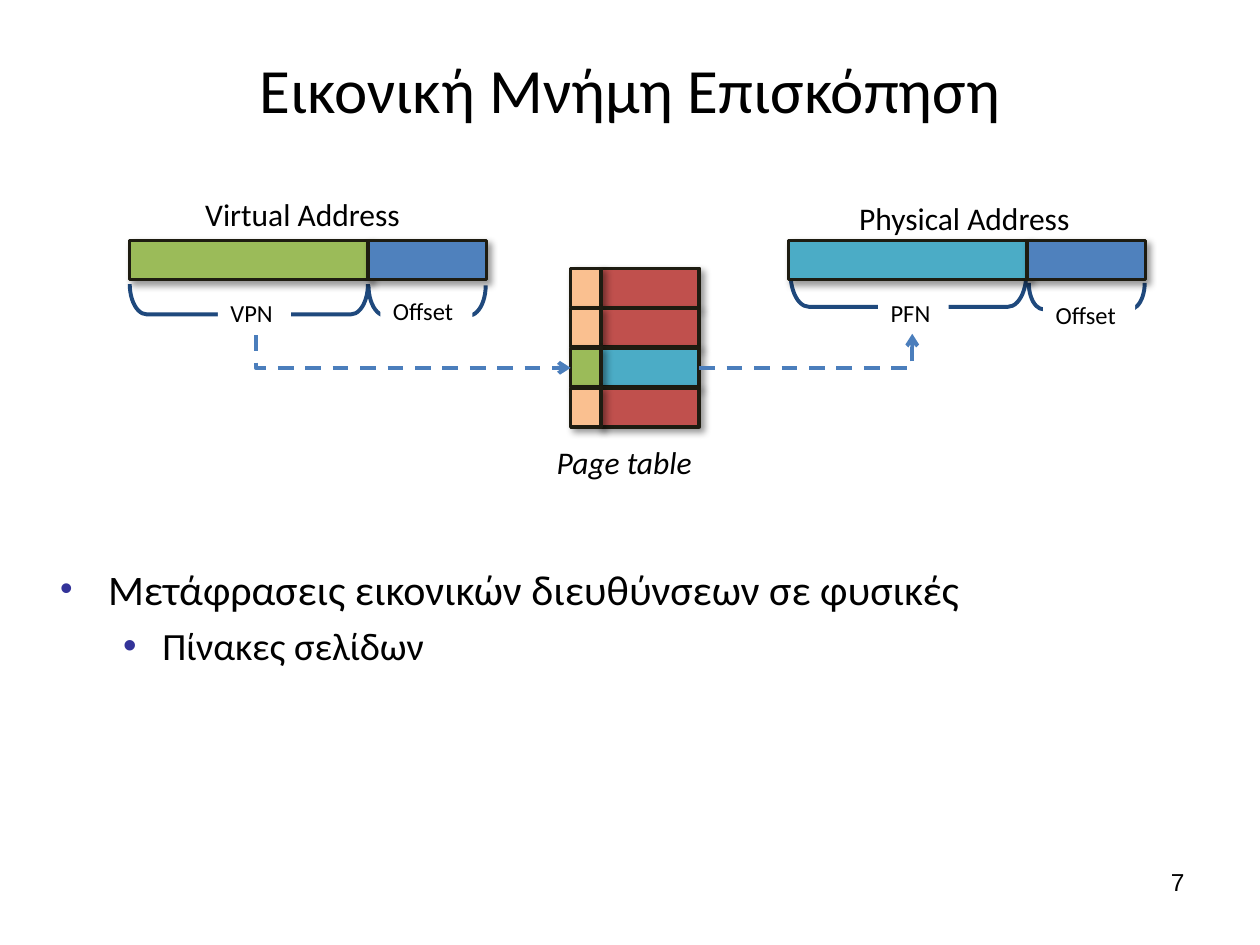
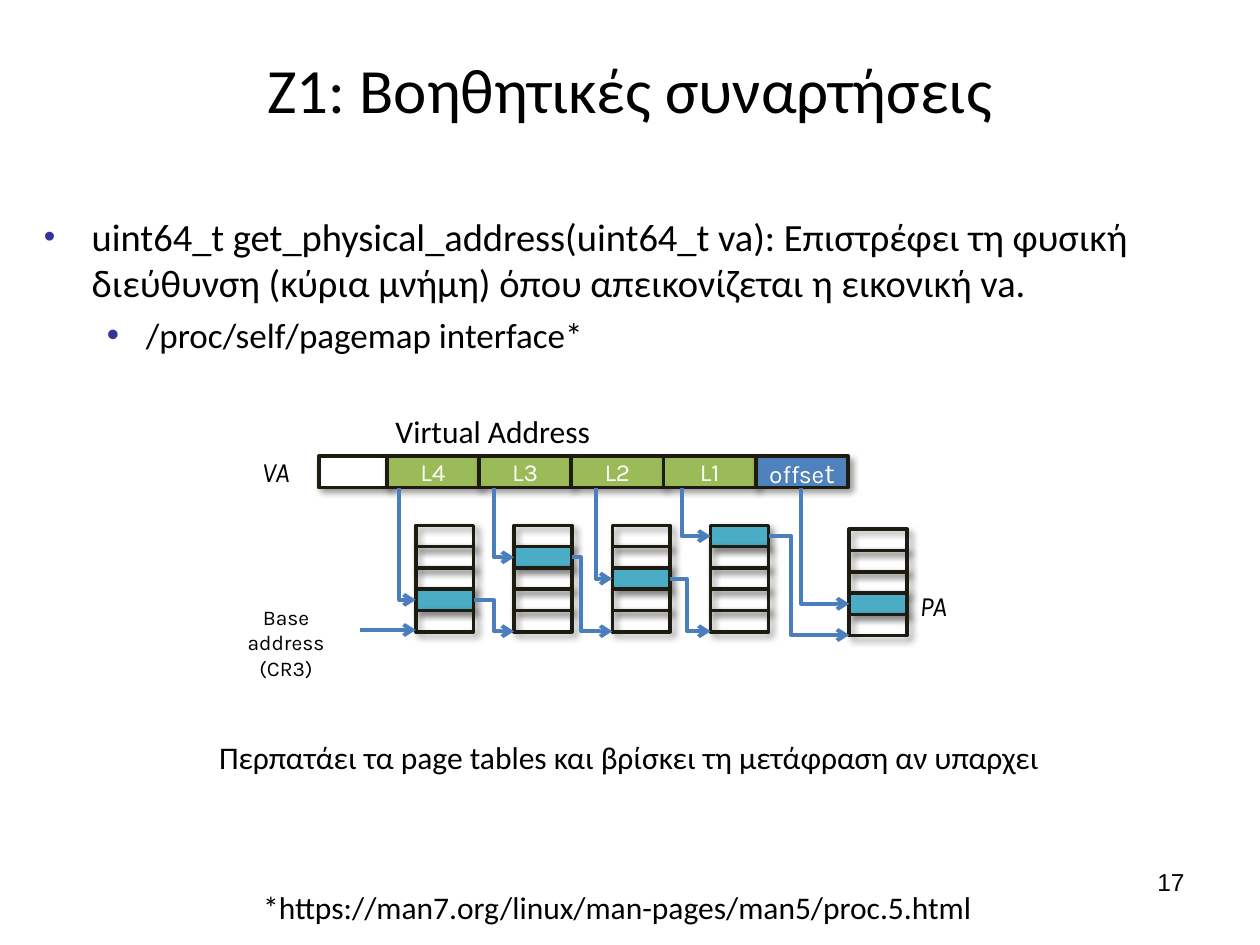
from lxml import etree
from pptx import Presentation
from pptx.dml.color import RGBColor
from pptx.enum.shapes import MSO_CONNECTOR, MSO_SHAPE
from pptx.enum.text import MSO_ANCHOR, PP_ALIGN
from pptx.oxml.ns import qn
from pptx.util import Inches, Pt

STRAIGHT, ELBOW = MSO_CONNECTOR.STRAIGHT, MSO_CONNECTOR.ELBOW
RECTANGLE, BRACKET = MSO_SHAPE.RECTANGLE, MSO_SHAPE.LEFT_BRACKET
LEFT, CENTER, RIGHT = PP_ALIGN.LEFT, PP_ALIGN.CENTER, PP_ALIGN.RIGHT
TOP, MIDDLE = MSO_ANCHOR.TOP, MSO_ANCHOR.MIDDLE

COLORS = {
    "text": "000000", "white": "FFFFFF", "bullet": "333399",
    "edge": "1E1C11", "arrow": "4B7EBC", "bracket": "1F497D",
    "virtual": "9BBB59", "physical": "4BACC6", "offset": "4F81BD",
    "entry": "C0504D", "index": "FAC090",
}


def color(name):
    return RGBColor.from_string(COLORS[name])


def add_xml(parent, tag, **attributes):
    values = {key: str(value) for key, value in attributes.items()}
    return etree.SubElement(parent, qn(tag), values)


class Drawing:
    """Places elements on a grid of 100 columns by 75 rows."""

    body_font, diagram_font, number_font = "Calibri", "Karla", "Arial"

    def __init__(self):
        self.deck = Presentation()
        self.deck.slide_width, self.deck.slide_height = Inches(10), Inches(7.5)
        self.page = None

    def grid(self, *lengths):
        return [round(length * self.deck.slide_width / 100) for length in lengths]

    def start_page(self, title, number):
        self.page = self.deck.slides.add_slide(self.deck.slide_layouts[5])
        box = self.page.shapes.title
        box.left, box.top, box.width, box.height = self.grid(5, 3, 90, 8)
        self.fill_text(box.text_frame, title, 36, align=CENTER, anchor=MIDDLE)
        self.text(number, (71.7, 68.3, 23.3, 5.2), 14, font=self.number_font, align=RIGHT)

    def style(self, para, size, font=None, ink="text", italic=False):
        for span in para.runs:
            span.font.size = Pt(size)
            span.font.name = font or self.body_font
            span.font.italic = italic
            span.font.color.rgb = color(ink)

    def fill_text(self, frame, words, size, align=LEFT, anchor=TOP, wrap=True, **look):
        frame.text = words
        frame.word_wrap = wrap
        frame.vertical_anchor = anchor
        for para in frame.paragraphs:
            para.alignment = align
            self.style(para, size, **look)

    def text(self, words, place, size=18, **look):
        box = self.page.shapes.add_textbox(*self.grid(*place))
        self.fill_text(box.text_frame, words, size, **look)

    def bullets(self, place, items):
        """Items are (words, size); each one sits a level below the last."""
        frame = self.page.shapes.add_textbox(*self.grid(*place)).text_frame
        frame.word_wrap = True
        for level, (words, size) in enumerate(items):
            para = frame.add_paragraph() if level else frame.paragraphs[0]
            para.text, para.level = words, level
            para.space_before = Pt(round(size * 0.24))
            self.style(para, size)
            margin, hanging, scale = ((0.38, 0.38, 85), (0.81, 0.31, 100))[level]
            properties = para._p.get_or_add_pPr()
            properties.set("marL", str(Inches(margin)))
            properties.set("indent", str(-Inches(hanging)))
            add_xml(add_xml(properties, "a:buClr"), "a:srgbClr", val=COLORS["bullet"])
            add_xml(properties, "a:buSzPct", val=scale * 1000)
            add_xml(properties, "a:buFont", typeface="Arial")
            add_xml(properties, "a:buChar", char="•")

    def cell(self, place, fill=None):
        """A block of memory: dark edge and soft shadow."""
        shape = self.page.shapes.add_shape(RECTANGLE, *self.grid(*place))
        if fill:
            shape.fill.solid()
            shape.fill.fore_color.rgb = color(fill)
        else:
            shape.fill.background()
        shape.line.color.rgb = color("edge")
        shape.line.width = Pt(2)
        shape.shadow.inherit = False
        effects = shape._element.spPr.find(qn("a:effectLst"))
        shadow = add_xml(effects, "a:outerShdw", blurRad=Pt(4), dist=Pt(3),
                         dir=45 * 60000, algn="tl", rotWithShape=0)
        add_xml(add_xml(shadow, "a:srgbClr", val="000000"), "a:alpha", val=40000)
        return shape

    def field(self, words, place, fill):
        shape = self.cell(place, fill)
        self.fill_text(shape.text_frame, words, 14, align=CENTER, anchor=MIDDLE,
                       wrap=False, font=self.diagram_font, ink="white")
        return shape

    def bracket(self, left, top, width, height):
        """A bracket opening upwards inside the given frame."""
        x, y = left + (width - height) / 2, top + (height - width) / 2
        shape = self.page.shapes.add_shape(BRACKET, *self.grid(x, y, height, width))
        shape.rotation = 270
        shape.adjustments[0] = 0.56
        shape.fill.background()
        shape.line.color.rgb = color("bracket")
        shape.line.width = Pt(2.25)
        shape.shadow.inherit = False

    def bracket_label(self, words, place):
        shape = self.page.shapes.add_shape(RECTANGLE, *self.grid(*place))
        shape.fill.solid()
        shape.fill.fore_color.rgb = color("white")
        shape.line.fill.background()
        shape.shadow.inherit = False
        self.fill_text(shape.text_frame, words, 14, wrap=False)

    def arrow(self, start, end, kind=STRAIGHT, dashed=False):
        line = self.page.shapes.add_connector(kind, *self.grid(*start, *end))
        line.line.color.rgb = color("arrow")
        line.line.width = Pt(2.25)
        stroke = line._element.spPr.find(qn("a:ln"))
        if dashed:
            add_xml(stroke, "a:prstDash", val="dash")
        add_xml(stroke, "a:tailEnd", type="arrow")
        add_xml(line._element.spPr, "a:effectLst")
        return line

    def corner(self, start, end, dashed=False, down_first=False):
        """An arrow with one bend."""
        line = self.arrow(start, end, ELBOW, dashed)
        properties = line._element.spPr
        properties.find(qn("a:prstGeom")).set("prst", "bentConnector2")
        if down_first:
            (x1, y1), (x2, y2) = start, end
            run, drop = x2 - x1, y2 - y1
            line.left, line.top, line.width, line.height = self.grid(
                (x1 + x2 - drop) / 2, (y1 + y2 - run) / 2, drop, run)
            frame = properties.find(qn("a:xfrm"))
            frame.set("rot", str(270 * 60000))
            frame.set("flipH", "1")

    def step(self, start, end, turn):
        """An arrow that runs across, down at column turn, and across again."""
        line = self.arrow(start, end, ELBOW)
        geometry = line._element.spPr.find(qn("a:prstGeom"))
        guides = geometry.find(qn("a:avLst"))
        share = (turn - start[0]) / (end[0] - start[0])
        add_xml(guides, "a:gd", name="adj1", fmla=f"val {round(share * 100000)}")


def address_bar(drawing, left, fill):
    drawing.cell((left, 19.1, 19, 3.1), fill)
    drawing.cell((left + 18.9, 19.1, 9.4, 3.1), "offset")


def build_overview(drawing):
    drawing.start_page("Εικονική Μνήμη Επισκόπηση", "7")
    drawing.bullets((3.8, 44.2, 95, 21.5), [
        ("Μετάφρασεις εικονικών διευθύνσεων σε φυσικές", 24),
        ("Πίνακες σελίδων", 22)])

    # Parts of both addresses
    drawing.text("Virtual Address", (15.3, 15, 18.8, 4), wrap=False)
    drawing.text("Physical Address", (67.2, 15.3, 20.4, 4), wrap=False)
    for frame in ((10.3, 22.55, 18.9, 2.4), (29.25, 22.65, 9.3, 2.4),
                  (62.75, 21.75, 18.7, 2.6), (81.65, 22.45, 9.2, 2.1)):
        drawing.bracket(*frame)
    for words, place in (("VPN", (17.3, 23.2, 5.8, 3.4)),
                         ("Offset", (30.2, 23, 7.3, 3.4)),
                         ("PFN", (69.7, 23.2, 5.6, 3.4)),
                         ("Offset", (82.8, 23.3, 7.3, 3.4))):
        drawing.bracket_label(words, place)
    address_bar(drawing, 10.3, "virtual")
    address_bar(drawing, 62.6, "physical")

    # Page table, with the matching entry in row 2
    for row in range(4):
        top = 21.3 + 3.16 * row
        matches = row == 2
        drawing.cell((47.6, top, 7.9, 3.1), "physical" if matches else "entry")
        drawing.cell((45.3, top, 2.4, 3.1), "virtual" if matches else "index")
    drawing.text("Page table", (43.2, 34.7, 13.7, 4), wrap=False, italic=True)
    drawing.corner((20.3, 26.6), (45.3, 29.2), dashed=True, down_first=True)
    drawing.corner((55.5, 29.2), (72.4, 26.5), dashed=True)


def build_helpers(drawing):
    drawing.start_page("Ζ1: Βοηθητικές συναρτήσεις", "17")
    drawing.bullets((2.5, 16.4, 95, 13.7), [
        ("uint64_t get_physical_address(uint64_t va): Επιστρέφει τη φυσική "
         "διεύθυνση (κύρια μνήμη) όπου απεικονίζεται η εικονική va.", 22),
        ("/proc/self/pagemap interface*", 20)])

    # Captions
    drawing.text("Virtual Address", (30.4, 32.2, 18.8, 4), wrap=False)
    drawing.text("Περπατάει τα page tables και βρίσκει τη μετάφραση αν υπαρχει",
                 (16.4, 58.1, 73.3, 4), wrap=False)
    drawing.text("*https://man7.org/linux/man-pages/man5/proc.5.html",
                 (19.9, 70, 62.3, 4), wrap=False)
    for words, place in (("VA", (19.8, 35.6, 4.7, 3.7)), ("PA", (72, 46.2, 4.6, 3.7))):
        drawing.text(words, place, 16, wrap=False, italic=True, font=drawing.diagram_font)
    drawing.text("Base address\n(CR3)", (16.8, 47.5, 11.8, 5), 12, align=CENTER,
                 font=drawing.diagram_font)

    # Virtual address fields
    drawing.cell((25.3, 36.2, 5.5, 2.5), "white")
    field_width = 7.32
    for index, words in enumerate(("L4", "L3", "L2", "L1")):
        drawing.field(words, (30.7 + field_width * index, 36.2, field_width, 2.5), "virtual")
    offset = drawing.field("offse", (60, 36.2, field_width, 2.5), "offset")
    para = offset.text_frame.paragraphs[0]
    para.add_run().text = "t"
    drawing.style(para, 14, font=drawing.diagram_font, ink="white")
    para.runs[1].font.size = Pt(16)

    # Four page tables and the final frame: left, top, row in use, column of the drop
    cell_width, pitch = 4.6, 1.69
    tables = [(33 + 7.8 * index, 41.7, row, drop) for index, (row, drop)
              in enumerate(((3, 31.7), (1, 39.2), (2, 47.3), (0, 54.1)))]
    tables.append((67.4, 42, 3, 63.6))
    for left, top, used, drop in tables:
        for row in range(5):
            drawing.cell((left, top + pitch * row, cell_width, pitch),
                         "physical" if row == used else None)

    # Arrows into each table and on to the next
    for left, top, used, drop in tables:
        drawing.corner((drop, 38.7), (left, top + pitch * (used + 0.5)), down_first=True)
    drawing.arrow((28.6, 50), (33, 50))
    for table, following, turn in zip(tables, tables[1:], (39.2, 46.1, 54.5, 62.8)):
        left, top, used, drop = table
        next_left, next_top = following[:2]
        drawing.step((left + cell_width, top + pitch * (used + 0.5)),
                     (next_left, next_top + pitch * 5 - 0.05), turn)


def main():
    drawing = Drawing()
    build_overview(drawing)
    build_helpers(drawing)
    drawing.deck.save("out.pptx")


if __name__ == "__main__":
    main()
